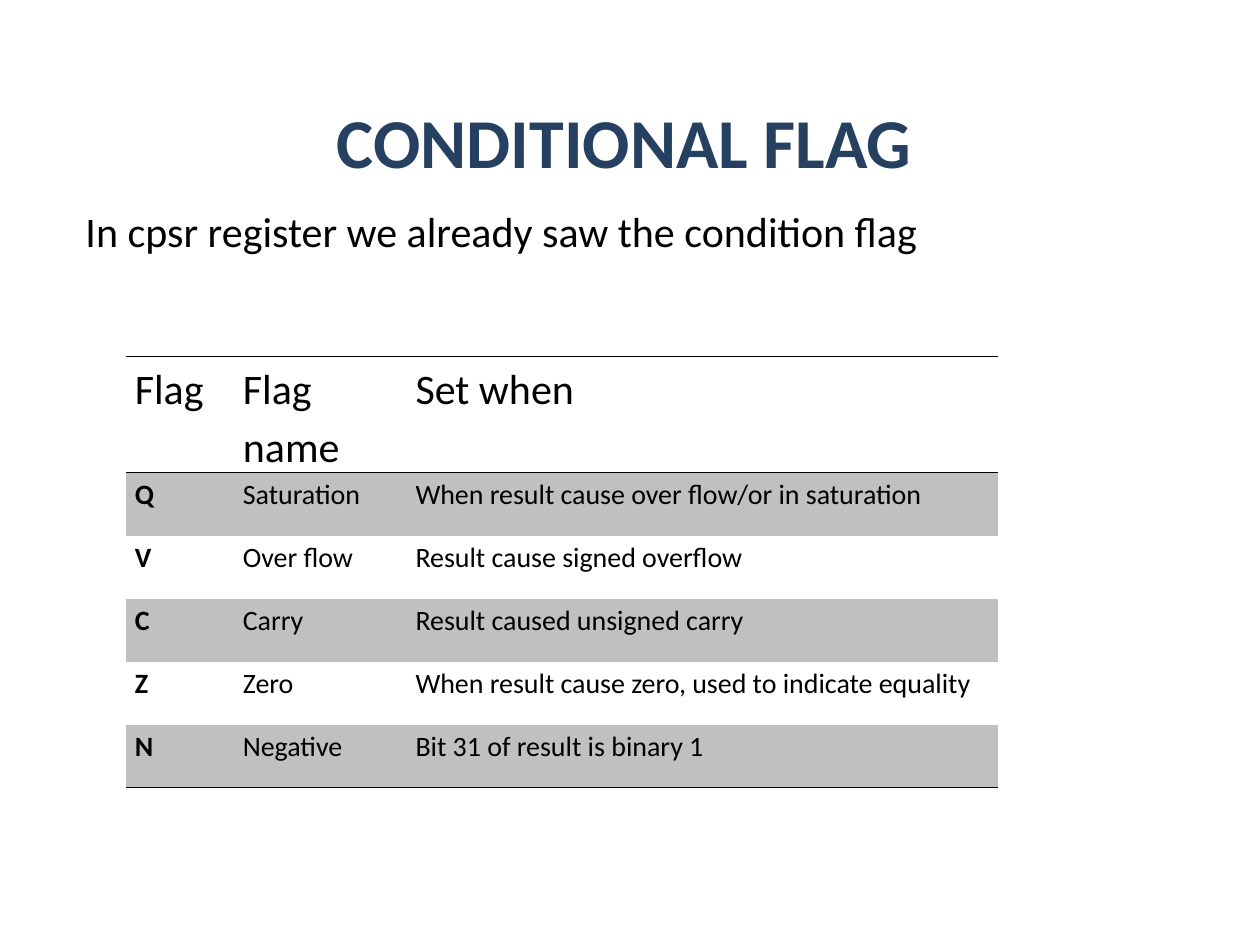
from dataclasses import dataclass

from lxml.etree import SubElement
from pptx import Presentation
from pptx.dml.color import RGBColor
from pptx.enum.text import MSO_ANCHOR, PP_ALIGN
from pptx.oxml.ns import qn
from pptx.util import Inches, Pt


@dataclass(frozen=True)
class Theme:
    font: str = "Calibri"
    title_color: str = "254061"
    ink: str = "000000"
    band: str = "C0C0C0"
    title_size: int = 40
    lead_size: int = 24
    cell_size: int = 16
    rule_width: int = 1


THEME = Theme()
SLIDE_SIZE = (10, 7.5)
TITLE_BOX = (0.33, 0.67, 9.25, 0.83)
LEAD_BOX = (0.58, 1.58, 7.92, 4.83)
TABLE_BOX = (1, 2.83, 6.92, 3.1)
COLUMN_SHARES = (0.124, 0.198, 0.678)
ROW_WEIGHTS = (6, 5, 5, 5, 5, 5)
FLAGS = (
    ("Flag", "Flag name", "Set when"),
    ("Q", "Saturation", "When result cause over flow/or in saturation"),
    ("V", "Over flow", "Result cause signed overflow"),
    ("C", "Carry", "Result caused unsigned carry"),
    ("Z", "Zero", "When result cause zero, used to indicate equality"),
    ("N", "Negative", "Bit 31 of result is binary 1"),
)


def write(frame, text, size, color=THEME.ink, bold=False):
    """Fill a text frame with one formatted paragraph and return it."""
    frame.text = text
    para = frame.paragraphs[0]
    font = para.runs[0].font
    font.name, font.size, font.bold = THEME.font, Pt(size), bold
    font.color.rgb = RGBColor.from_string(color)
    return para


def add_title(slide, box, text):
    title = slide.shapes.title
    title.left, title.top, title.width, title.height = map(Inches, box)
    title.text_frame.vertical_anchor = MSO_ANCHOR.BOTTOM
    para = write(title.text_frame, text, THEME.title_size, THEME.title_color, True)
    para.alignment = PP_ALIGN.CENTER


def add_lead(slide, box, text):
    frame = slide.shapes.add_textbox(*map(Inches, box)).text_frame
    frame.word_wrap = True
    para = write(frame, text, THEME.lead_size)
    para.space_before = Pt(0.2 * THEME.lead_size)


def set_borders(cell, ruled_sides):
    """Rule the named sides of a cell and clear the others."""
    properties = cell._tc.get_or_add_tcPr()
    for side in "LRTB":
        line = SubElement(properties, qn(f"a:ln{side}"), w=str(Pt(THEME.rule_width)))
        if side in ruled_sides:
            fill = SubElement(line, qn("a:solidFill"))
            SubElement(fill, qn("a:srgbClr"), val=THEME.ink)
        else:
            SubElement(line, qn("a:noFill"))


def format_cell(cell, text, row, column, last_row):
    is_header = row == 0
    cell.margin_left = cell.margin_right = Inches(0.07)
    cell.margin_top = cell.margin_bottom = 0
    size = THEME.lead_size if is_header else THEME.cell_size
    para = write(cell.text_frame, text, size, bold=column == 0 and not is_header)
    para.line_spacing = 1.15
    top = "T" if row <= 1 else ""
    bottom = "B" if row in (0, last_row) else ""
    set_borders(cell, top + bottom)
    if row % 2:
        cell.fill.solid()
        cell.fill.fore_color.rgb = RGBColor.from_string(THEME.band)
    else:
        cell.fill.background()


def add_flag_table(slide, box, rows):
    width, height = box[2:]
    table = slide.shapes.add_table(len(rows), len(rows[0]), *map(Inches, box)).table
    table.first_row = table.horz_banding = False
    for column, share in zip(table.columns, COLUMN_SHARES):
        column.width = Inches(width * share)
    for row, weight in zip(table.rows, ROW_WEIGHTS):
        row.height = Inches(height * weight / sum(ROW_WEIGHTS))
    for r, texts in enumerate(rows):
        for c, text in enumerate(texts):
            format_cell(table.cell(r, c), text, r, c, len(rows) - 1)


def main():
    deck = Presentation()
    deck.slide_width, deck.slide_height = map(Inches, SLIDE_SIZE)
    slide = deck.slides.add_slide(deck.slide_layouts.get_by_name("Title Only"))
    add_title(slide, TITLE_BOX, "CONDITIONAL FLAG")
    add_lead(slide, LEAD_BOX, "In cpsr register we already saw the condition flag")
    add_flag_table(slide, TABLE_BOX, FLAGS)
    deck.save("out.pptx")


if __name__ == "__main__":
    main()
